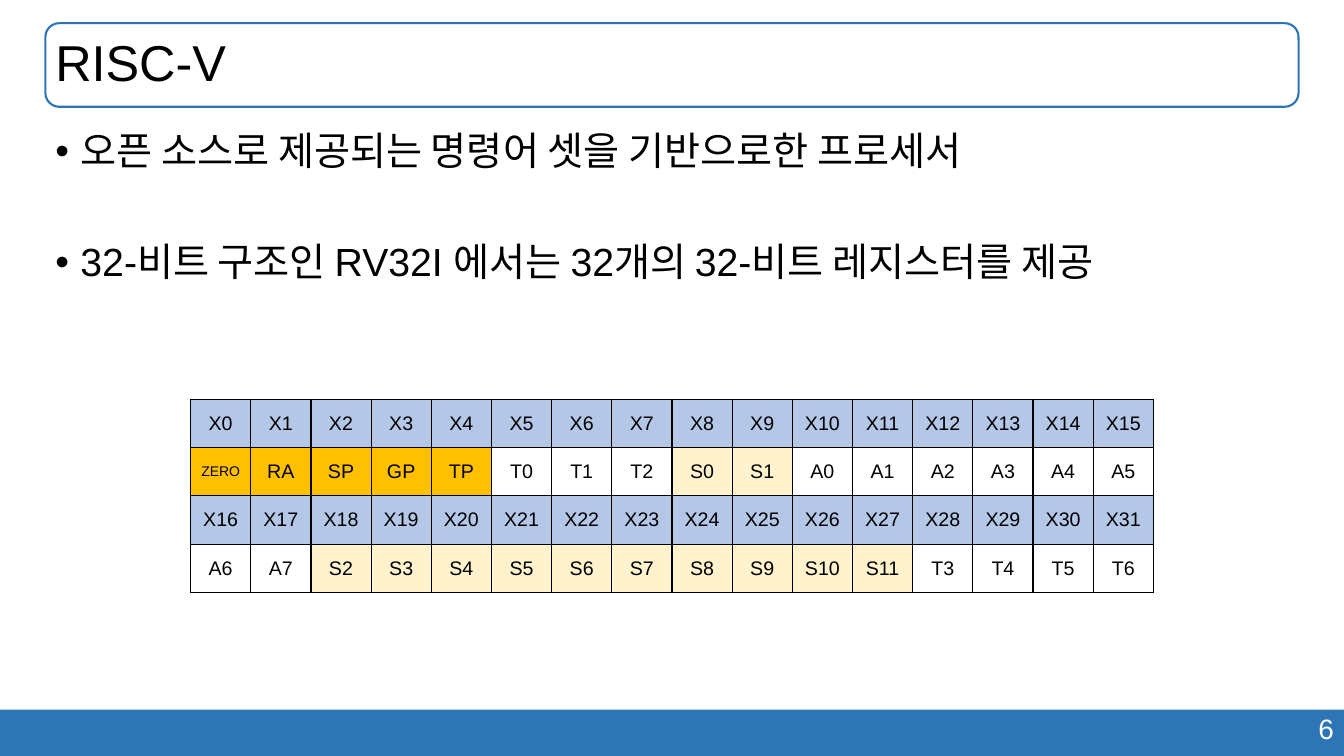
from lxml import etree
from pptx import Presentation
from pptx import util as u
from pptx.dml.color import RGBColor
from pptx.enum import shapes, text
from pptx.oxml import ns

FONT = "Arial"
BLUE, BLACK, WHITE = "2E75B6", "000000", "FFFFFF"
NUMBER_FILL, SPECIAL_FILL, SAVED_FILL = "B4C7E7", "FFC000", "FFF2CC"
SPECIAL_NAMES = ["ZERO", "RA", "SP", "GP", "TP"]
ABI_NAMES = (
    SPECIAL_NAMES
    + "T0 T1 T2 S0 S1".split()
    + [f"A{i}" for i in range(8)]
    + [f"S{i}" for i in range(2, 12)]
    + [f"T{i}" for i in range(3, 7)]
)
COLUMNS = 16
BULLETS = [
    ("오픈 소스로 제공되는 명령어 셋을 기반으로한 프로세서", 0),
    ("32-비트 구조인 RV32I 에서는 32개의 32-비트 레지스터를 제공", 49),
]


def color(value):
    """Return the colour for a hex string."""
    return RGBColor.from_string(value)


def set_attributes(target, values):
    """Set every attribute in a dict of format values."""
    for name, value in values.items():
        setattr(target, name, value)


def write(paragraph, content, size, ink=BLACK, **layout):
    """Put one formatted run of text in a paragraph."""
    set_attributes(paragraph, layout)
    run = paragraph.add_run()
    run.text = content
    set_attributes(run.font, {"name": FONT, "size": u.Pt(size)})
    run.font.color.rgb = color(ink)


def add_box(slide, kind, box, fill=None, line=None):
    """Add a preset shape with an optional fill and outline."""
    shape = slide.shapes.add_shape(kind, *map(u.Inches, box))
    shape.shadow.inherit = False
    if fill:
        shape.fill.solid()
        shape.fill.fore_color.rgb = color(fill)
    else:
        shape.fill.background()
    if line:
        shape.line.color.rgb = color(line)
        shape.line.width = u.Pt(1.5)
    else:
        shape.line.fill.background()


def add_text_frame(slide, box, anchor=text.MSO_ANCHOR.TOP):
    """Add a wrapping text box and return its text frame."""
    frame = slide.shapes.add_textbox(*map(u.Inches, box)).text_frame
    set_attributes(frame, {"word_wrap": True, "vertical_anchor": anchor})
    return frame


def add_bullets(slide, box, items, size):
    """Add a bulleted list of (text, space before) items."""
    frame = add_text_frame(slide, box)
    for index, (content, space) in enumerate(items):
        paragraph = frame.add_paragraph() if index else frame.paragraphs[0]
        properties = paragraph._p.get_or_add_pPr()
        properties.set("marL", str(u.Inches(0.25)))
        properties.set("indent", str(-u.Inches(0.25)))
        etree.SubElement(properties, ns.qn("a:buFont"), typeface=FONT)
        etree.SubElement(properties, ns.qn("a:buChar"), char="•")
        write(paragraph, content, size, line_spacing=0.9, space_before=u.Pt(space))


def add_borders(cell, line):
    """Draw a one-point line on all four sides of a cell."""
    properties = cell._tc.get_or_add_tcPr()
    for side in ("lnL", "lnR", "lnT", "lnB"):
        border = etree.SubElement(properties, ns.qn(f"a:{side}"), w=str(u.Pt(1)))
        fill = etree.SubElement(border, ns.qn("a:solidFill"))
        etree.SubElement(fill, ns.qn("a:srgbClr"), val=line)


def fill_for(name):
    """Choose the fill for a register number or name."""
    if name in SPECIAL_NAMES:
        return SPECIAL_FILL
    return {"X": NUMBER_FILL, "S": SAVED_FILL}.get(name[0], WHITE)


def add_register_table(slide, box):
    """Add rows of register numbers above their names."""
    rows = []
    for start in range(0, len(ABI_NAMES), COLUMNS):
        rows.append([f"X{start + i}" for i in range(COLUMNS)])
        rows.append(ABI_NAMES[start:start + COLUMNS])
    frame = slide.shapes.add_table(len(rows), COLUMNS, *map(u.Inches, box))
    table = frame.table
    for column in table.columns:
        column.width = u.Inches(box[2] / COLUMNS)
    for row_index, names in enumerate(rows):
        for column_index, name in enumerate(names):
            cell = table.cell(row_index, column_index)
            add_borders(cell, BLACK)
            cell.fill.solid()
            cell.fill.fore_color.rgb = color(fill_for(name))
            cell.vertical_anchor = text.MSO_ANCHOR.MIDDLE
            size = 10 if name == "ZERO" else 14
            write(cell.text_frame.paragraphs[0], name, size,
                  alignment=text.PP_ALIGN.CENTER)


def main():
    """Build the register slide and save it."""
    presentation = Presentation()
    presentation.slide_width = u.Inches(13.33)
    presentation.slide_height = u.Inches(7.5)
    slide = presentation.slides.add_slide(presentation.slide_layouts[6])

    add_box(slide, shapes.MSO_SHAPE.RECTANGLE, (0, 7.04, 13.33, 0.46), fill=BLUE)
    page_number = add_text_frame(slide, (9.43, 7.01, 3.9, 0.44))
    write(page_number.paragraphs[0], "6", 20, WHITE, alignment=text.PP_ALIGN.RIGHT)

    title_box = (0.45, 0.23, 12.43, 0.83)
    add_box(slide, shapes.MSO_SHAPE.ROUNDED_RECTANGLE, title_box, line=BLUE)
    title = add_text_frame(slide, title_box, text.MSO_ANCHOR.MIDDLE)
    write(title.paragraphs[0], "RISC-V", 36, line_spacing=0.9)

    add_bullets(slide, (0.45, 1.26, 12.43, 5.53), BULLETS, 28)
    add_register_table(slide, (1.89, 3.96, 9.55, 1.92))
    presentation.save("out.pptx")


if __name__ == "__main__":
    main()
